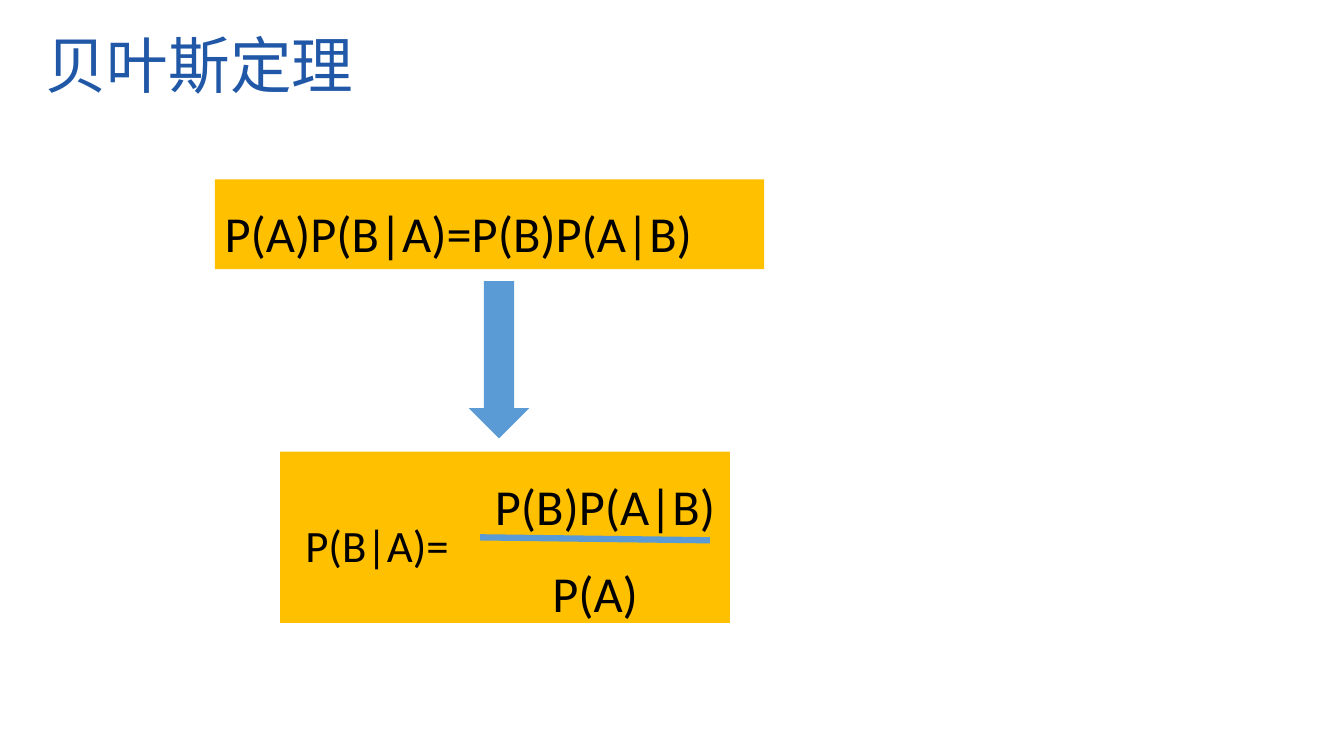
"""Build the Bayes' theorem slide."""
from lxml import etree
from pptx import Presentation, util as u
from pptx.dml.color import RGBColor
from pptx.enum import shapes, text
from pptx.oxml import ns

BLUE = RGBColor(0x20, 0x57, 0xA6)
SKY = RGBColor(0x5B, 0x9B, 0xD5)
GOLD = RGBColor(0xFF, 0xC0, 0x00)
BLACK = RGBColor(0, 0, 0)
LATIN, CJK = "Calibri", "Noto Sans CJK SC"

TITLE = ("贝叶斯定理", (0.35, 0.28, 5.45, 0.79))
FORMULAS = [
    ((2.13, 1.78, 5.45, 0.89), 36, [("P(A)P(B|A)=P(B)P(A|B)", 0)]),
    ((2.78, 4.48, 4.46, 1.7), 36, [("P(B)P(A|B)", 2.03), ("P(A)", 2.6)]),
    ((2.93, 4.93, 1.83, 0.8), 32, [("P(B|A)=", 0)]),
]
ARROW = (4.65, 2.79, 0.6, 1.56)
FRACTION_BAR = (4.7, 5.33, 7.04, 5.36)


def inches(values):
    return [u.Inches(v) for v in values]


def add_filled(slide, kind, box, color):
    sp = slide.shapes.add_shape(kind, *inches(box))
    sp.shadow.inherit = False
    sp.fill.solid()
    sp.fill.fore_color.rgb = color
    sp.line.fill.background()
    return sp


def add_run(p, words, size, font, color):
    r = p.add_run()
    r.text = words
    r.font.size = u.Pt(size)
    r.font.name = font
    r.font.color.rgb = color
    ea = etree.SubElement(r.font._element, ns.qn("a:ea"))
    ea.set("typeface", font)


def add_title(slide, words, box):
    tf = slide.shapes.add_textbox(*inches(box)).text_frame
    tf.word_wrap = True
    tf.vertical_anchor = text.MSO_ANCHOR.MIDDLE
    p = tf.paragraphs[0]
    p.line_spacing = 0.9
    add_run(p, words, 44, CJK, BLUE)


def add_formula(slide, box, size, lines):
    tf = add_filled(slide, shapes.MSO_SHAPE.RECTANGLE, box, GOLD).text_frame
    tf.word_wrap = True
    tf.vertical_anchor = text.MSO_ANCHOR.TOP
    for i, (words, indent) in enumerate(lines):
        p = tf.add_paragraph() if i else tf.paragraphs[0]
        p.alignment = text.PP_ALIGN.LEFT
        p.line_spacing = 1.3
        p.space_before = u.Pt(6)
        if indent:
            p._p.get_or_add_pPr().set("marL", str(u.Inches(indent)))
        add_run(p, words, size, LATIN, BLACK)


def add_bar(slide, ends):
    bar = slide.shapes.add_connector(shapes.MSO_CONNECTOR.STRAIGHT, *inches(ends))
    bar.line.color.rgb = SKY
    bar.line.width = u.Pt(4.5)
    etree.SubElement(bar._element.spPr, ns.qn("a:effectLst"))


def main():
    prs = Presentation()
    prs.slide_width, prs.slide_height = inches((13.33, 7.5))
    slide = prs.slides.add_slide(prs.slide_layouts[6])
    add_title(slide, *TITLE)
    product, quotient, left_side = FORMULAS
    add_formula(slide, *product)
    add_filled(slide, shapes.MSO_SHAPE.DOWN_ARROW, ARROW, SKY)
    add_formula(slide, *quotient)
    add_bar(slide, FRACTION_BAR)
    add_formula(slide, *left_side)
    prs.save("out.pptx")


if __name__ == "__main__":
    main()
